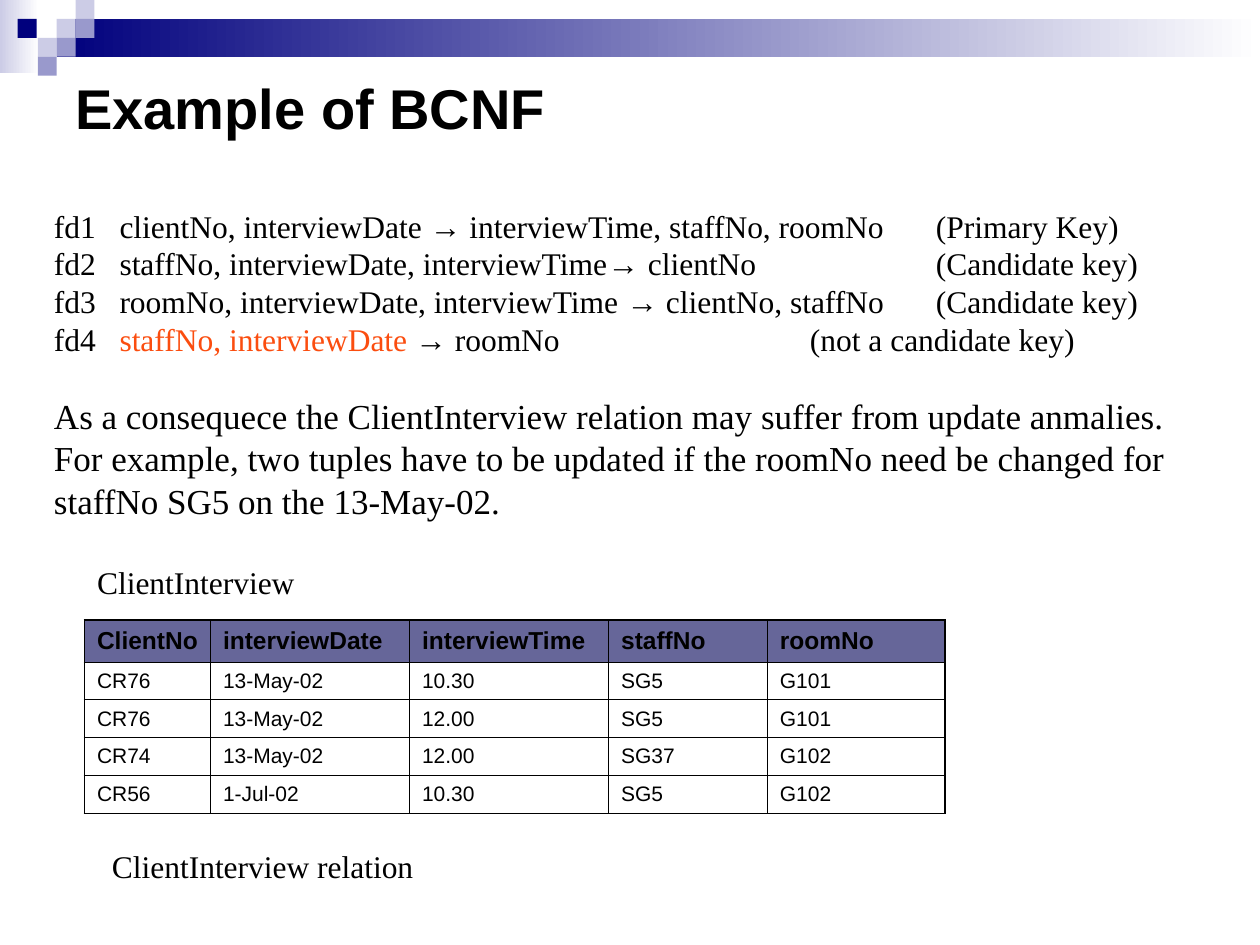
from pptx import Presentation
from pptx import util as u
from pptx.dml.color import RGBColor
from pptx.enum import shapes, text
from pptx.oxml.ns import qn
from lxml import etree

BLACK = RGBColor(0x00, 0x00, 0x00)
WHITE = RGBColor(0xFF, 0xFF, 0xFF)
NAVY = RGBColor(0x00, 0x00, 0x7D)
LILAC = RGBColor(0xCC, 0xCC, 0xE6)
VIOLET = RGBColor(0x99, 0x99, 0xCC)
HEADER = RGBColor(0x66, 0x66, 0x99)
ORANGE = RGBColor(0xFB, 0x4D, 0x0F)
SANS, SERIF = "Arial", "Times New Roman"
THIN, THICK = 0.45, 1.08
LABEL_TAB = 0.52

SQUARE = 0.15
SQUARES = [
    (0.45, 0.15, LILAC), (0.6, 0, LILAC), (0.6, 0.15, VIOLET),
    (0.3, 0.3, LILAC), (0.14, 0.15, NAVY), (0.45, 0.3, VIOLET),
    (0.3, 0.45, VIOLET),
]
DEPENDENCIES = [
    ("fd1", "clientNo, interviewDate ", "→",
     " interviewTime, staffNo, roomNo", "(Primary Key)", 7, BLACK),
    ("fd2", "staffNo, interviewDate, interviewTime", "→ ",
     "clientNo", "(Candidate key)", 7, BLACK),
    ("fd3", "roomNo, interviewDate, interviewTime ", "→",
     " clientNo, staffNo", "(Candidate key)", 7, BLACK),
    ("fd4", "staffNo, interviewDate ", "→",
     " roomNo", "(not a candidate key)", 6, ORANGE),
]
REMARKS = [
    "As a consequece the ClientInterview relation may suffer from update anmalies.",
    "For example, two tuples have to be updated if the roomNo need be changed "
    "for staffNo SG5 on the 13-May-02.",
]
COLUMNS = [1, 1.58, 1.58, 1.26, 1.41]
ROWS = [
    ("ClientNo", "interviewDate", "interviewTime", "staffNo", "roomNo"),
    ("CR76", "13-May-02", "10.30", "SG5", "G101"),
    ("CR76", "13-May-02", "12.00", "SG5", "G101"),
    ("CR74", "13-May-02", "12.00", "SG37", "G102"),
    ("CR56", "1-Jul-02", "10.30", "SG5", "G102"),
]


def inches(*values):
    return [u.Inches(v) for v in values]


def style(font, size, name=SERIF, color=BLACK, bold=False):
    font.size = u.Pt(size)
    font.name = name
    font.bold = bold
    font.color.rgb = color


def add_rect(s, box, color, fade_to=None):
    sp = s.shapes.add_shape(shapes.MSO_SHAPE.RECTANGLE, *inches(*box))
    sp.shadow.inherit = False
    sp.line.fill.background()
    if fade_to is None:
        sp.fill.solid()
        sp.fill.fore_color.rgb = color
        return
    sp.fill.gradient()
    sp.fill.gradient_angle = 180
    for stop, position, rgb in zip(sp.fill.gradient_stops, (0, 1), (fade_to, color)):
        stop.position = position
        stop.color.rgb = rgb


def add_box(s, box, wrap=True):
    tf = s.shapes.add_textbox(*inches(*box)).text_frame
    tf.word_wrap = wrap
    return tf


def add_label(s, box, words, size, name=SERIF, bold=False, wrap=False, align=None):
    tf = add_box(s, box, wrap)
    tf.vertical_anchor = text.MSO_ANCHOR.MIDDLE
    p = tf.paragraphs[0]
    p.text = words
    p.alignment = align
    style(p.font, size, name, bold=bold)


def add_tabs(p, positions):
    tabs = etree.SubElement(p._p.get_or_add_pPr(), qn("a:tabLst"))
    for position in positions:
        etree.SubElement(tabs, qn("a:tab"), pos=str(u.Inches(position)), algn="l")


def add_dependency(p, label, left, arrow, right, key, key_tab, color):
    add_tabs(p, (LABEL_TAB, key_tab))
    p.line_spacing = u.Pt(21.6)
    parts = [
        (label + "\t", SERIF, BLACK), (left, SERIF, color),
        (arrow, SANS, BLACK), (right + "\t" + key, SERIF, BLACK),
    ]
    for words, name, rgb in parts:
        r = p.add_run()
        r.text = words
        style(r.font, 18, name, rgb)


def add_explanation(s):
    tf = add_box(s, (0.33, 1.59, 9.25, 2.6))
    for i, dependency in enumerate(DEPENDENCIES):
        p = tf.add_paragraph() if i else tf.paragraphs[0]
        add_dependency(p, *dependency)
    for i, remark in enumerate(REMARKS):
        p = tf.add_paragraph()
        p.text = remark
        p.line_spacing = u.Pt(24.3)
        p.space_before = u.Pt(0 if i else 20.7)
        style(p.font, 20)


def set_borders(cell, widths):
    tcPr = cell._tc.get_or_add_tcPr()
    for i, (side, width) in enumerate(zip("LRTB", widths)):
        ln = etree.Element(qn("a:ln" + side), w=str(u.Pt(width)))
        fill = etree.SubElement(ln, qn("a:solidFill"))
        etree.SubElement(fill, qn("a:srgbClr"), val=str(BLACK))
        tcPr.insert(i, ln)


def add_interviews(s):
    heights = [0.33] + [0.3] * (len(ROWS) - 1)
    box = inches(0.67, 4.92, sum(COLUMNS), sum(heights))
    table = s.shapes.add_table(len(ROWS), len(COLUMNS), *box).table
    table.first_row = table.horz_banding = False
    for column, width in zip(table.columns, COLUMNS):
        column.width = u.Inches(width)
    for row, height in zip(table.rows, heights):
        row.height = u.Inches(height)
    last_row, last_column = len(ROWS) - 1, len(COLUMNS) - 1
    for i, values in enumerate(ROWS):
        for j, value in enumerate(values):
            cell = table.cell(i, j)
            cell.vertical_anchor = text.MSO_ANCHOR.MIDDLE
            cell.margin_right = u.Inches(0.03)
            if i == 0:
                cell.fill.solid()
                cell.fill.fore_color.rgb = HEADER
            else:
                cell.fill.background()
            p = cell.text_frame.paragraphs[0]
            p.text = value
            style(p.font, 12 if i else 14, SANS, bold=i == 0)
            outer = (j == 0, j == last_column, i == 0, i == last_row)
            set_borders(cell, [THICK if edge else THIN for edge in outer])


def main():
    prs = Presentation()
    prs.slide_width, prs.slide_height = inches(10, 7.5)
    s = prs.slides.add_slide(prs.slide_layouts[6])
    add_rect(s, (0, 0, 0.31, 0.58), LILAC, WHITE)
    add_rect(s, (0.45, 0.15, 9.55, 0.3), NAVY, WHITE)
    for left, top, color in SQUARES:
        add_rect(s, (left, top, SQUARE, SQUARE), color)
    add_label(s, (0.5, 0.5, 9, 0.7), "Example of BCNF", 32, SANS, bold=True, wrap=True)
    add_explanation(s)
    add_interviews(s)
    add_label(s, (0.79, 6.67, 2.6, 0.4), "ClientInterview relation", 18)
    add_label(s, (0.67, 4.42, 1.77, 0.4), "ClientInterview", 18,
              align=text.PP_ALIGN.CENTER)
    prs.save("out.pptx")


if __name__ == "__main__":
    main()
